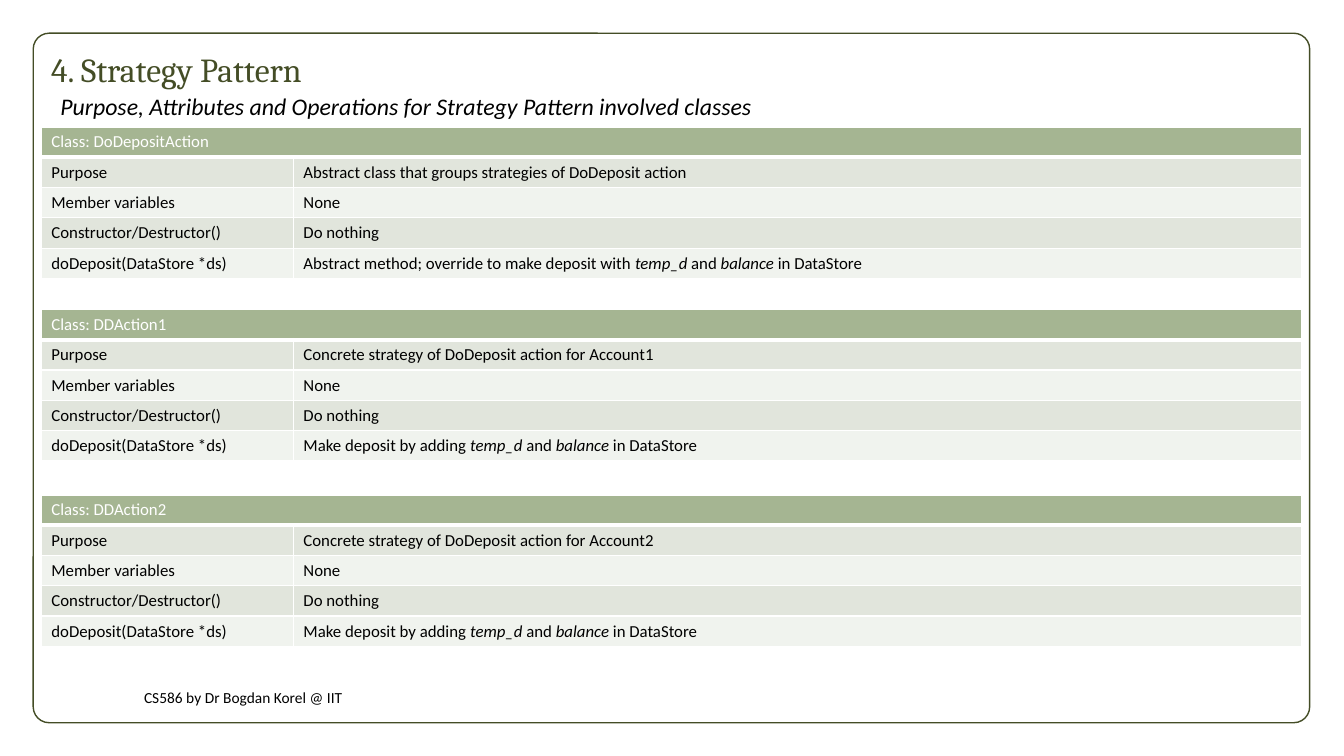
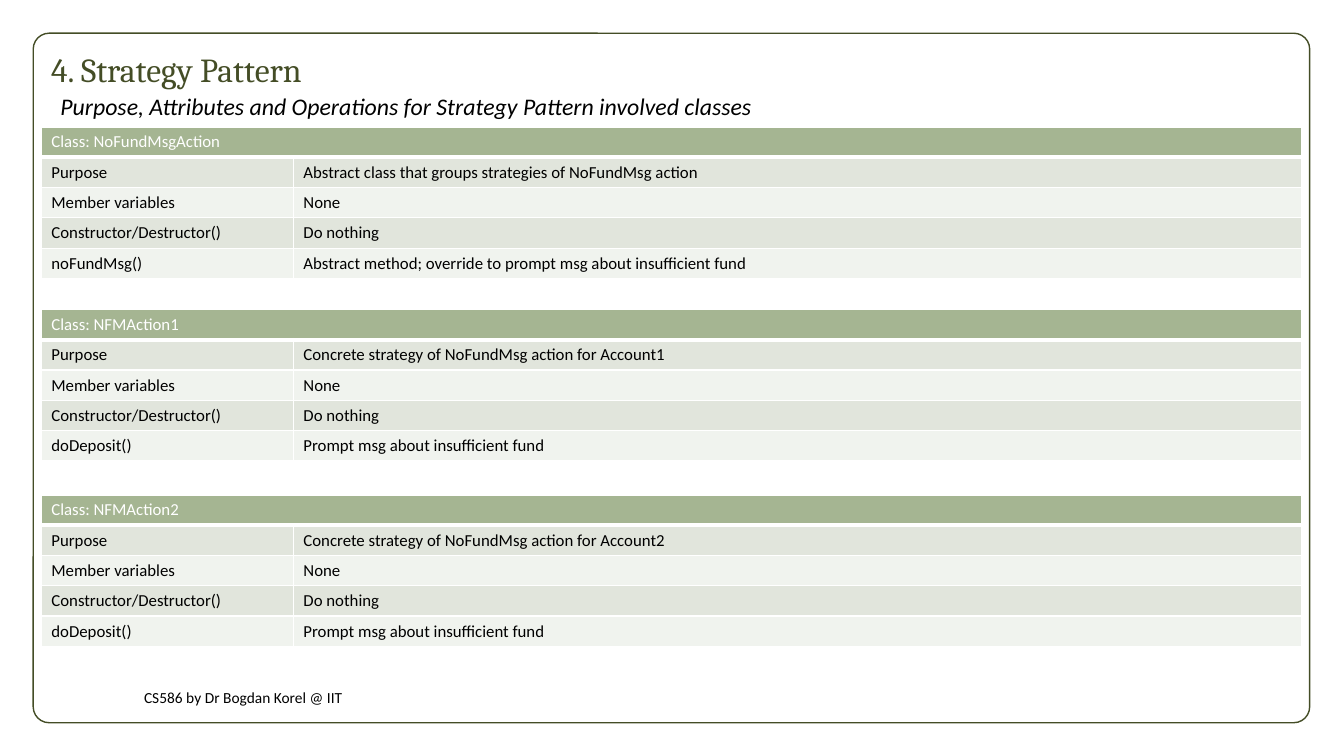
from lxml import etree
from pptx import Presentation
from pptx.dml.color import RGBColor
from pptx.enum.shapes import MSO_SHAPE
from pptx.enum.text import MSO_ANCHOR
from pptx.oxml.ns import qn
from pptx.util import Inches, Pt

ROUNDED = MSO_SHAPE.ROUNDED_RECTANGLE
TOP, MIDDLE = MSO_ANCHOR.TOP, MSO_ANCHOR.MIDDLE

COLORS = {
    "olive": "444D26",
    "header": "A5B592",
    "dark_band": "E1E5DC",
    "light_band": "F0F3EE",
    "white": "FFFFFF",
    "black": "000000",
}
BODY_FONT, TITLE_FONT = "Calibri", "Cambria"

TITLE = "4. Strategy Pattern"
SUBTITLE = "Purpose, Attributes and Operations for Strategy Pattern involved classes"
FOOTER = "CS586 by Dr Bogdan Korel @ IIT"
COMMON_ROWS = [("Member variables", "None"), ("Constructor/Destructor()", "Do nothing")]

DEPOSIT = "doDeposit(DataStore *ds)"
MAKE_DEPOSIT = "Make deposit by adding |temp_d| and |balance| in DataStore"
PROMPT = "Prompt msg about insufficient fund"
SLIDES = [
    [
        ("DoDepositAction", "Abstract class that groups strategies of DoDeposit action", DEPOSIT,
         "Abstract method; override to make deposit with |temp_d| and |balance| in DataStore"),
        ("DDAction1", "Concrete strategy of DoDeposit action for Account1", DEPOSIT, MAKE_DEPOSIT),
        ("DDAction2", "Concrete strategy of DoDeposit action for Account2", DEPOSIT, MAKE_DEPOSIT),
    ],
    [
        ("NoFundMsgAction", "Abstract class that groups strategies of NoFundMsg action",
         "noFundMsg()", "Abstract method; override to prompt msg about insufficient fund"),
        ("NFMAction1", "Concrete strategy of NoFundMsg action for Account1", "doDeposit()", PROMPT),
        ("NFMAction2", "Concrete strategy of NoFundMsg action for Account2", "doDeposit()", PROMPT),
    ],
]

TABLE_LEFT = 0.41
TABLE_TOPS = [1.26, 3.07, 4.91]
COLUMN_WIDTHS = [2.5, 10]
ROW_HEIGHT = 0.3


def rgb(name):
    return RGBColor.from_string(COLORS[name])


def write_runs(paragraph, text, size, color, font=BODY_FONT, italic=False):
    for index, part in enumerate(text.split("|")):
        run = paragraph.add_run()
        run.text = part
        run.font.name = font
        run.font.size = Pt(size)
        run.font.color.rgb = rgb(color)
        run.font.italic = italic or index % 2 == 1


def add_text(slide, box, text, size, color, anchor=TOP, **style):
    frame = slide.shapes.add_textbox(*map(Inches, box)).text_frame
    frame.word_wrap = True
    frame.vertical_anchor = anchor
    paragraph = frame.paragraphs[0]
    write_runs(paragraph, text, size, color, **style)
    return paragraph


def add_base(slide):
    frame = slide.shapes.add_shape(ROUNDED, *map(Inches, (0.33, 0.33, 12.66, 6.84)))
    frame.adjustments[0] = 0.023
    frame.shadow.inherit = False
    frame.fill.solid()
    frame.fill.fore_color.rgb = rgb("white")
    frame.line.color.rgb = rgb("olive")
    frame.line.width = Pt(1)
    add_text(slide, (1.33, 6.75, 8.11, 0.33), FOOTER, 11, "black", MIDDLE)
    subtitle = add_text(slide, (0.5, 0.94, 11.58, 0.31), SUBTITLE, 17, "black", italic=True)
    subtitle.line_spacing = 0.7
    add_text(slide, (0.41, 0.42, 10.66, 0.53), TITLE, 24, "olive", MIDDLE, font=TITLE_FONT)


def set_borders(cell, top, bottom):
    properties = cell._tc.get_or_add_tcPr()
    for side, width in (("L", 1), ("R", 1), ("T", top), ("B", bottom)):
        line = etree.SubElement(properties, qn(f"a:ln{side}"), w=str(Pt(width)))
        fill = etree.SubElement(line, qn("a:solidFill"))
        etree.SubElement(fill, qn("a:srgbClr"), val=COLORS["white"])


def add_class_table(slide, top, name, purpose, operation, description):
    rows = [(f"Class: {name}", ""), ("Purpose", purpose), *COMMON_ROWS, (operation, description)]
    box = (TABLE_LEFT, top, sum(COLUMN_WIDTHS), ROW_HEIGHT * len(rows))
    table = slide.shapes.add_table(len(rows), len(COLUMN_WIDTHS), *map(Inches, box)).table
    table.first_row = table.horz_banding = False
    for column, width in zip(table.columns, COLUMN_WIDTHS):
        column.width = Inches(width)
    table.cell(0, 0).merge(table.cell(0, 1))
    for row_index, row in enumerate(rows):
        is_header = row_index == 0
        band = "header" if is_header else "dark_band" if row_index % 2 else "light_band"
        for column_index, text in enumerate(row):
            cell = table.cell(row_index, column_index)
            set_borders(cell, 3 if row_index == 1 else 1, 3 if is_header else 1)
            cell.fill.solid()
            cell.fill.fore_color.rgb = rgb(band)
            if text:
                write_runs(cell.text_frame.paragraphs[0], text, 12,
                           "white" if is_header else "black")


def main():
    presentation = Presentation()
    presentation.slide_width, presentation.slide_height = Inches(13.33), Inches(7.5)
    for classes in SLIDES:
        slide = presentation.slides.add_slide(presentation.slide_layouts[6])
        add_base(slide)
        for top, details in zip(TABLE_TOPS, classes):
            add_class_table(slide, top, *details)
    presentation.save("out.pptx")


if __name__ == "__main__":
    main()
